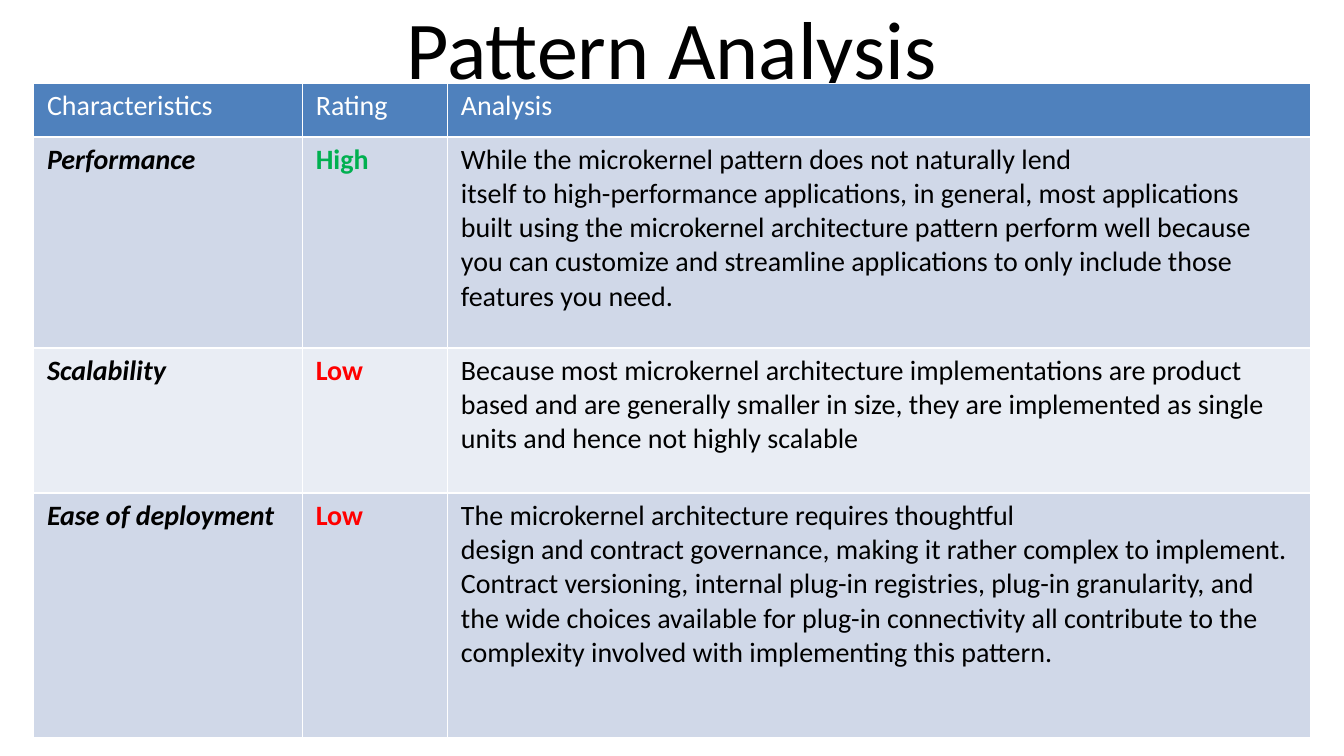
from pptx import Presentation
from pptx.dml.color import RGBColor
from pptx.enum.text import MSO_ANCHOR, PP_ALIGN
from pptx.util import Inches, Pt

MIDDLE = MSO_ANCHOR.MIDDLE
CENTER, LEFT, JUSTIFY = PP_ALIGN.CENTER, PP_ALIGN.LEFT, PP_ALIGN.JUSTIFY

TITLE = "Pattern Analysis"
HEADS = ["Characteristics", "Rating", "Analysis"]
TRAITS = [
    ("Performance", "High", [
        "While the microkernel pattern does not naturally lend",
        "itself to high-performance applications, in general, most applications "
        "built using the microkernel architecture pattern perform well because "
        "you can customize and streamline applications to only include those "
        "features you need."]),
    ("Scalability", "Low", [
        "Because most microkernel architecture implementations are product "
        "based and are generally smaller in size, they are implemented as "
        "single units and hence not highly scalable"]),
    ("Ease of deployment", "Low", [
        "The microkernel architecture requires thoughtful",
        "design and contract governance, making it rather complex to implement. "
        "Contract versioning, internal plug-in registries, plug-in granularity, "
        "and the wide choices available for plug-in connectivity all contribute "
        "to the complexity involved with implementing this pattern."]),
]
WIDE = 10
WIDTHS = [2, 1.08, 6.42]
HEIGHTS = [0.4, 1.57, 1.08, 1.82]


class Theme:
    font = "Calibri"
    title, body = 44, 15
    ink, white, head = "000000", "FFFFFF", "4F81BD"
    bands = ["D0D8E8", "E9EDF4"]
    rating = {"High": "00B050", "Low": "FF0000"}


def write(para, text, size, color, align, bold=False, italic=False):
    para.alignment = align
    run = para.add_run()
    run.text = text
    font = run.font
    font.name, font.size = Theme.font, Pt(size)
    font.bold, font.italic = bold, italic
    font.color.rgb = RGBColor.from_string(color)


def fill_cell(cell, fill, lines, color, align=JUSTIFY, **style):
    cell.fill.solid()
    cell.fill.fore_color.rgb = RGBColor.from_string(fill)
    cell.margin_left = cell.margin_right = Inches(0.1)
    cell.margin_top = cell.margin_bottom = Inches(0.04)
    frame = cell.text_frame
    for i, line in enumerate(lines):
        para = frame.add_paragraph() if i else frame.paragraphs[0]
        write(para, line, Theme.body, color, align, **style)


deck = Presentation()
deck.slide_width, deck.slide_height = Inches(WIDE), Inches(WIDE * 9 / 16)
slide = deck.slides.add_slide(deck.slide_layouts[5])

title = slide.shapes.title
title.left, title.top = Inches(0.5), Inches(-0.12)
title.width, title.height = Inches(9), Inches(0.94)
title.text_frame.vertical_anchor = MIDDLE
write(title.text_frame.paragraphs[0], TITLE, Theme.title, Theme.ink, CENTER)

table = slide.shapes.add_table(
    len(HEIGHTS), len(WIDTHS), Inches(0.25), Inches(0.62),
    Inches(sum(WIDTHS)), Inches(sum(HEIGHTS))).table
for col, width in zip(table.columns, WIDTHS):
    col.width = Inches(width)
for row, height in zip(table.rows, HEIGHTS):
    row.height = Inches(height)

for c, head in enumerate(HEADS):
    fill_cell(table.cell(0, c), Theme.head, [head], Theme.white)
for r, (trait, rating, lines) in enumerate(TRAITS):
    band = Theme.bands[r % 2]
    name, grade, note = table.rows[r + 1].cells
    fill_cell(name, band, [trait], Theme.ink, bold=True, italic=True)
    fill_cell(grade, band, [rating], Theme.rating[rating], bold=True)
    fill_cell(note, band, lines, Theme.ink, LEFT)

deck.save("out.pptx")
